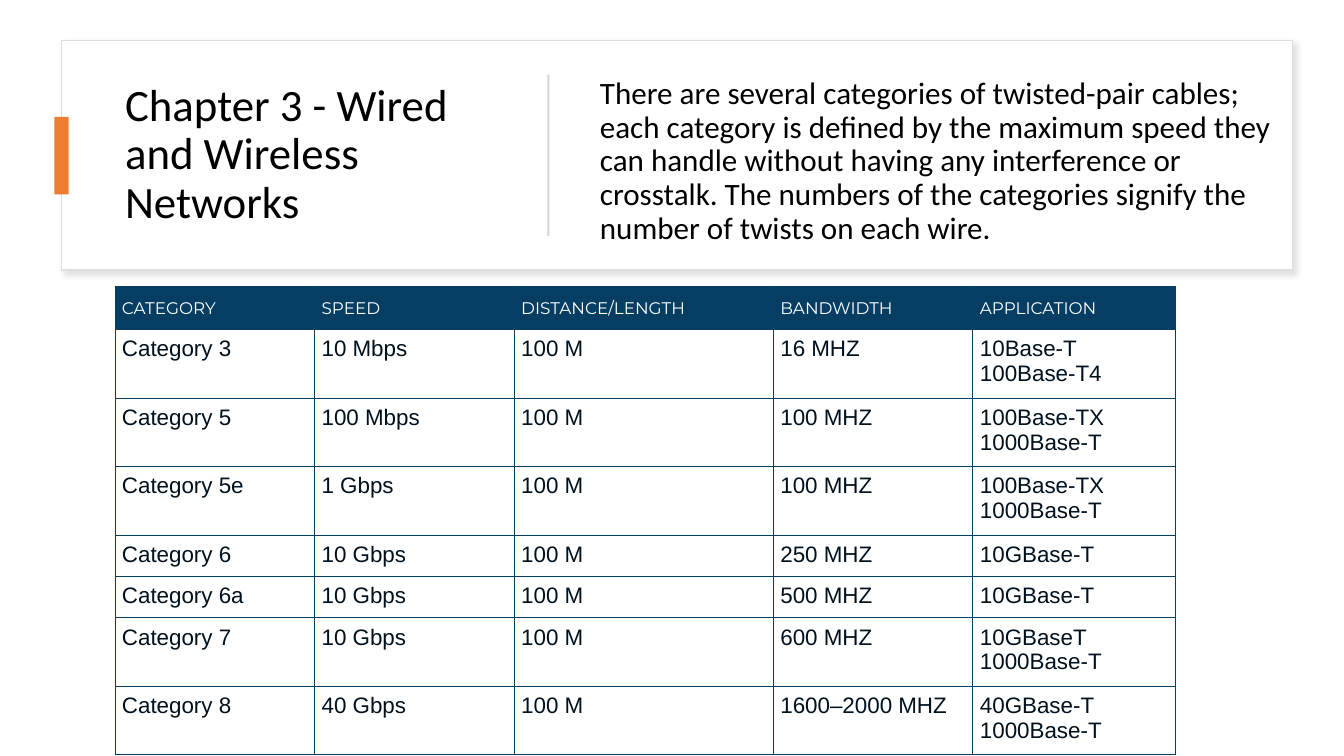
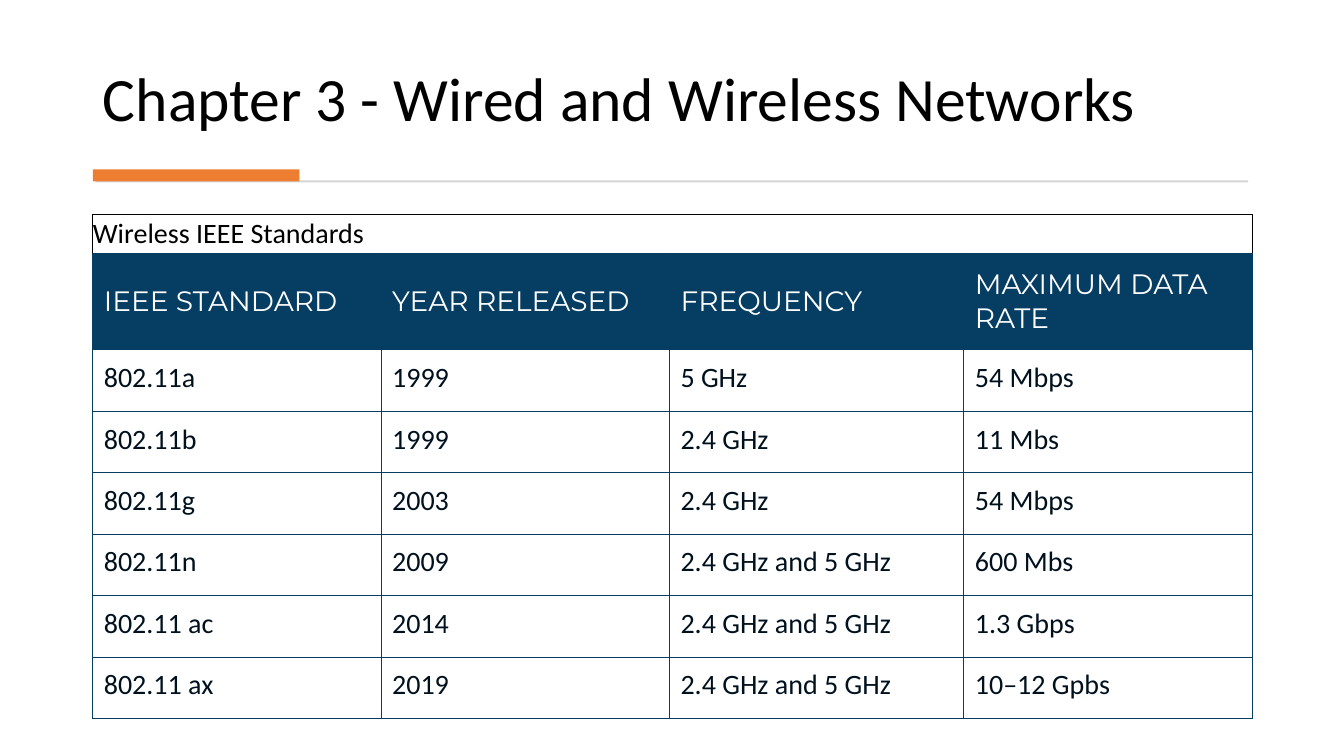
from dataclasses import dataclass

from lxml.etree import SubElement
from pptx import Presentation
from pptx.dml.color import RGBColor
from pptx.enum.shapes import MSO_SHAPE
from pptx.enum.text import MSO_ANCHOR, MSO_AUTO_SIZE, PP_ALIGN
from pptx.oxml import parse_xml
from pptx.oxml.ns import nsdecls, qn
from pptx.util import Inches, Pt

BLACK = RGBColor(0x00, 0x00, 0x00)
WHITE = RGBColor(0xFF, 0xFF, 0xFF)
INK = RGBColor(0x00, 0x11, 0x1E)
NAVY = RGBColor(0x06, 0x3D, 0x63)
ORANGE = RGBColor(0xED, 0x7D, 0x31)
RULE_GREY = RGBColor(0xD5, 0xD5, 0xD5)
PANEL_EDGE = RGBColor(0xDE, 0xDE, 0xDE)
SHADOW_GREY = RGBColor(0xC5, 0xC3, 0xC3)

TEXT_FONT = "Calibri"
HEADER_FONT = "Montserrat"
CHAPTER = "Chapter 3 - Wired and Wireless Networks"
TITLE_AND_CONTENT, TITLE_ONLY = 1, 5

CABLE_INTRO = (
    "There are several categories of twisted-pair cables; each category is "
    "defined by the maximum speed they can handle without having any "
    "interference or crosstalk. The numbers of the categories signify the "
    "number of twists on each wire."
)
CABLE_HEADER = ["CATEGORY", "SPEED", "DISTANCE/LENGTH", "BANDWIDTH", "APPLICATION"]
CABLE_ROWS = [
    ["Category 3", "10 Mbps", "100 M", "16 MHZ", "10Base-T\n100Base-T4"],
    ["Category 5", "100 Mbps", "100 M", "100 MHZ", "100Base-TX\n1000Base-T"],
    ["Category 5e", "1 Gbps", "100 M", "100 MHZ", "100Base-TX\n1000Base-T"],
    ["Category 6", "10 Gbps", "100 M", "250 MHZ", "10GBase-T"],
    ["Category 6a", "10 Gbps", "100 M", "500 MHZ", "10GBase-T"],
    ["Category 7", "10 Gbps", "100 M", "600 MHZ", "10GBaseT\n1000Base-T"],
    ["Category 8", "40 Gbps", "100 M", "1600–2000 MHZ", "40GBase-T\n1000Base-T"],
]

WIRELESS_CAPTION = "Wireless IEEE Standards"
WIRELESS_HEADER = ["IEEE STANDARD", "YEAR RELEASED", "FREQUENCY", "MAXIMUM DATA RATE"]
WIRELESS_ROWS = [
    ["802.11a", "1999", "5 GHz", "54 Mbps"],
    ["802.11b", "1999", "2.4 GHz", "11 Mbs"],
    ["802.11g", "2003", "2.4 GHz", "54 Mbps"],
    ["802.11n", "2009", "2.4 GHz and 5 GHz", "600 Mbs"],
    ["802.11 ac", "2014", "2.4 GHz and 5 GHz", "1.3 Gbps"],
    ["802.11 ax", "2019", "2.4 GHz and 5 GHz", "10–12 Gpbs"],
]


@dataclass
class CellStyle:
    """Look of the cells in a row; margins are in inches."""
    size: float
    font: str
    color: RGBColor
    fill: RGBColor
    border: RGBColor
    margin_x: float
    margin_y: float
    anchor: MSO_ANCHOR

    def apply(self, cell):
        self.draw_borders(cell)
        cell.fill.solid()
        cell.fill.fore_color.rgb = self.fill
        cell.margin_left = cell.margin_right = Inches(self.margin_x)
        cell.margin_top = cell.margin_bottom = Inches(self.margin_y)
        cell.vertical_anchor = self.anchor
        format_runs(cell.text_frame, self.size, self.font, self.color)

    def draw_borders(self, cell):
        properties = cell._tc.get_or_add_tcPr()
        for side in ("lnL", "lnR", "lnT", "lnB"):
            properties.append(parse_xml(
                f'<a:{side} {nsdecls("a")} w="{Pt(0.75)}"><a:solidFill>'
                f'<a:srgbClr val="{self.border}"/></a:solidFill></a:{side}>'))


def header_style(size, margin_x, margin_y):
    return CellStyle(size, HEADER_FONT, WHITE, NAVY, NAVY, margin_x, margin_y,
                     MSO_ANCHOR.MIDDLE)


def entry_style(size, font, margin):
    return CellStyle(size, font, INK, WHITE, NAVY, margin, margin, MSO_ANCHOR.TOP)


def format_runs(frame, size, font, color):
    for paragraph in frame.paragraphs:
        for run in paragraph.runs:
            run.font.size = Pt(size)
            run.font.name = font
            run.font.bold = False
            run.font.color.rgb = color


class Deck:
    """Holds the presentation, its shared style and the current slide."""

    def __init__(self):
        self.presentation = Presentation()
        self.presentation.slide_width = Inches(13.33)
        self.presentation.slide_height = Inches(7.5)
        self.slide = None

    def new_slide(self, layout):
        layouts = self.presentation.slide_layouts
        self.slide = self.presentation.slides.add_slide(layouts[layout])

    def fill_placeholder(self, placeholder, text, box, size, anchor):
        (placeholder.left, placeholder.top,
         placeholder.width, placeholder.height) = map(Inches, box)
        frame = placeholder.text_frame
        frame.text = text
        frame.word_wrap = True
        frame.auto_size = MSO_AUTO_SIZE.NONE
        frame.vertical_anchor = anchor
        paragraph = frame.paragraphs[0]
        paragraph.alignment = PP_ALIGN.LEFT
        paragraph.line_spacing = 0.9
        paragraph.space_before = Pt(0)
        format_runs(frame, size, TEXT_FONT, BLACK)
        return paragraph

    def title(self, box, size, anchor):
        self.fill_placeholder(self.slide.shapes.title, CHAPTER, box, size, anchor)

    def body(self, text, box, size):
        paragraph = self.fill_placeholder(
            self.slide.placeholders[1], text, box, size, MSO_ANCHOR.MIDDLE)
        properties = paragraph._p.get_or_add_pPr()
        properties.set("marL", "0")
        properties.set("indent", "0")
        SubElement(properties, qn("a:buNone"))

    def bar(self, box, color):
        bar = self.slide.shapes.add_shape(MSO_SHAPE.RECTANGLE, *map(Inches, box))
        bar.shadow.inherit = False
        bar.fill.solid()
        bar.fill.fore_color.rgb = color
        bar.line.fill.background()
        return bar

    def panel(self, box):
        """Add a white outlined card with a soft shadow, behind everything."""
        panel = self.bar(box, WHITE)
        panel.line.color.rgb = PANEL_EDGE
        panel.line.width = Pt(1)
        effects = panel._element.spPr.find(qn("a:effectLst"))
        effects.append(parse_xml(
            f'<a:outerShdw {nsdecls("a")} blurRad="{Pt(4)}" dist="{Pt(3)}" '
            f'dir="2700000" algn="tl" rotWithShape="0">'
            f'<a:srgbClr val="{SHADOW_GREY}"><a:alpha val="50000"/></a:srgbClr>'
            f'</a:outerShdw>'))
        self.slide.shapes._spTree.insert(2, panel._element)

    def table(self, left, top, widths, rows):
        """Add a table; each row is (height, style, texts), and a row with a
        single text spans all columns."""
        heights = [height for height, _, _ in rows]
        table = self.slide.shapes.add_table(
            len(rows), len(widths), Inches(left), Inches(top),
            Inches(sum(widths)), Inches(sum(heights))).table
        table.horz_banding = False
        for column, width in zip(table.columns, widths):
            column.width = Inches(width)
        for index, (height, style, texts) in enumerate(rows):
            table.rows[index].height = Inches(height)
            cells = list(table.rows[index].cells)
            if len(texts) == 1:
                cells[0].merge(cells[-1])
            for cell, text in zip(cells, texts):
                cell.text = text
            for cell in cells:
                style.apply(cell)


def cable_slide(deck):
    deck.new_slide(TITLE_AND_CONTENT)
    deck.panel((0.61, 0.4, 12.21, 2.28))
    deck.title((1.14, 0.64, 3.89, 1.8), 32, MSO_ANCHOR.MIDDLE)
    deck.bar((0.54, 1.16, 0.14, 0.77), ORANGE)
    deck.bar((5.43, 0.74, 0.02, 1.6), RULE_GREY)
    deck.body(CABLE_INTRO, (5.85, 0.64, 6.87, 1.93), 22.2)

    entry = entry_style(16, "Arial", 0.07)
    rows = [(0.43, header_style(12, 0.07, 0.08), CABLE_HEADER)]
    for texts in CABLE_ROWS:
        height = 0.68 if "\n" in texts[-1] else 0.41
        rows.append((height, entry, texts))
    deck.table(1.14, 2.84, [1.98, 1.98, 2.57, 1.98, 2.01], rows)


def wireless_slide(deck):
    deck.new_slide(TITLE_ONLY)
    deck.title((0.92, 0.28, 11.49, 1.11), 44, MSO_ANCHOR.BOTTOM)
    deck.bar((0.95, 1.79, 11.43, 0.02), RULE_GREY)
    deck.bar((0.92, 1.68, 2.05, 0.12), ORANGE)

    caption = CellStyle(20, TEXT_FONT, BLACK, WHITE, BLACK, 0, 0, MSO_ANCHOR.MIDDLE)
    entry = entry_style(20, TEXT_FONT, 0.11)
    rows = [(0.38, caption, [WIRELESS_CAPTION]),
            (0.95, header_style(20, 0.11, 0.14), WIRELESS_HEADER)]
    rows += [(0.61, entry, texts) for texts in WIRELESS_ROWS]
    deck.table(0.92, 2.13, [2.86, 2.86, 2.92, 2.86], rows)


def main():
    deck = Deck()
    cable_slide(deck)
    wireless_slide(deck)
    deck.presentation.save("out.pptx")


if __name__ == "__main__":
    main()
